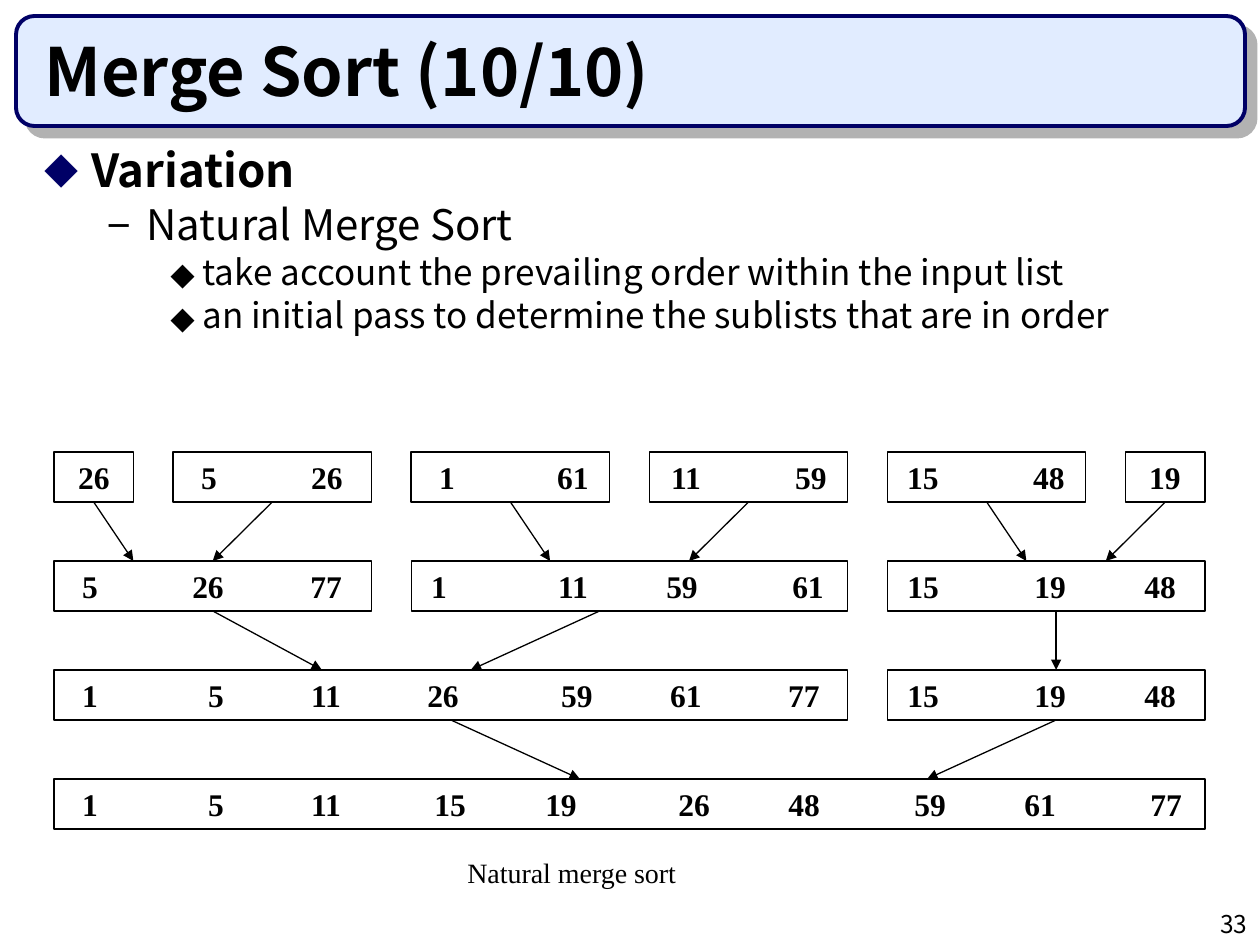
from lxml import etree
from pptx import Presentation
from pptx.dml.color import RGBColor
from pptx.enum.shapes import MSO_CONNECTOR, MSO_SHAPE
from pptx.enum.text import MSO_ANCHOR, PP_ALIGN
from pptx.oxml.ns import qn
from pptx.util import Emu, Pt

LEFT, RIGHT = PP_ALIGN.LEFT, PP_ALIGN.RIGHT
TOP, MIDDLE, BOTTOM = MSO_ANCHOR.TOP, MSO_ANCHOR.MIDDLE, MSO_ANCHOR.BOTTOM
RECTANGLE, ROUNDED = MSO_SHAPE.RECTANGLE, MSO_SHAPE.ROUNDED_RECTANGLE
STRAIGHT = MSO_CONNECTOR.STRAIGHT

BLACK = RGBColor(0x00, 0x00, 0x00)
NAVY = RGBColor(0x00, 0x00, 0x66)
PALE_BLUE = RGBColor(0xE1, 0xEC, 0xFF)
GRAY = RGBColor(0xB2, 0xB2, 0xB2)
SANS, SERIF = "Noto Sans CJK KR", "Times New Roman"

TITLE = "Merge Sort (10/10)"
CAPTION = "Natural merge sort"
PAGE_NUMBER = "33"

# text, level, size, bold, space before
OUTLINE = [
    ("Variation", 0, 26, True, 0),
    ("Natural Merge Sort", 1, 24, False, 6),
    ("take account the prevailing order within the input list", 2, 20, False, 5),
    ("an initial pass to determine the sublists that are in order", 2, 20, False, 5),
]
# bullet, colour, size in percent, text indent px, hanging px
LEVELS = [
    ("◆", NAVY, 75, 47, 47),
    ("−", BLACK, 100, 102, 39),
    ("⬥", BLACK, 100, 158, 32),
]

# Each list: first grid column, columns spanned, {number: centre x in px}
MERGE_ROWS = [
    [(0, 2, {26: 94}), (3, 5, {5: 209, 26: 327}), (9, 5, {1: 447, 61: 573}),
     (15, 5, {11: 686, 59: 811}), (21, 5, {15: 923, 48: 1049}), (27, 2, {19: 1165})],
    [(0, 8, {5: 90, 26: 208, 77: 326}), (9, 11, {1: 439, 11: 573, 59: 682, 61: 808}),
     (21, 8, {15: 923, 19: 1050, 48: 1160})],
    [(0, 20, {1: 90, 5: 216, 11: 326, 26: 443, 59: 577, 61: 686, 77: 804}),
     (21, 8, {15: 923, 19: 1050, 48: 1160})],
    [(0, 29, {1: 90, 5: 216, 11: 326, 15: 450, 19: 561, 26: 694, 48: 804,
              59: 930, 61: 1040, 77: 1166})],
]
# Arrows leaving each row: (start, end) in grid columns
MERGE_ARROWS = [
    [(1, 2), (5.5, 4), (11.5, 12.5), (17.5, 16), (23.5, 24.5), (28, 26.5)],
    [(4, 6.75), (13.75, 10.5), (25.25, 25.25)],
    [(10, 13.25), (25.25, 22)],
]
GRID_LEFT, GRID_WIDTH, GRID_COLUMNS = 54, 1151, 29
ROW_TOP, ROW_STEP, ROW_HEIGHT = 452, 109, 50


def px(value):
    return Emu(round(value * 914400 / 126))


def column_x(column):
    return GRID_LEFT + GRID_WIDTH * column / GRID_COLUMNS


def row_y(row):
    return ROW_TOP + ROW_STEP * row


def add_run(para, text, size, font, bold=False):
    run = para.add_run()
    run.text = text
    run.font.size = Pt(size)
    run.font.name = font
    run.font.bold = bold
    run.font.color.rgb = BLACK
    for tag in ("a:ea", "a:sym"):
        etree.SubElement(run.font._element, qn(tag), typeface=font)


def add_text_box(slide, left, top, width, height):
    frame = slide.shapes.add_textbox(px(left), px(top), px(width), px(height)).text_frame
    frame.word_wrap = True
    return frame


def set_bullet(para, level):
    char, color, percent, indent, hanging = LEVELS[level]
    props = para._p.get_or_add_pPr()
    props.set("marL", str(px(indent)))
    props.set("indent", str(-px(hanging)))
    holder = etree.SubElement(props, qn("a:buClr"))
    etree.SubElement(holder, qn("a:srgbClr"), val=str(color))
    etree.SubElement(props, qn("a:buSzPct"), val=str(percent * 1000))
    etree.SubElement(props, qn("a:buFont"), typeface=SANS)
    etree.SubElement(props, qn("a:buChar"), char=char)


def add_title(slide):
    panel = slide.shapes.add_shape(ROUNDED, px(16), px(16), px(1229), px(110))
    panel.fill.solid()
    panel.fill.fore_color.rgb = PALE_BLUE
    panel.line.color.rgb = NAVY
    panel.line.width = Pt(2.25)
    panel.shadow.inherit = False
    effects = panel._element.spPr.find(qn("a:effectLst"))
    shadow = etree.SubElement(effects, qn("a:outerShdw"), blurRad="0",
                              dist=str(Pt(8.5)), dir="2700000", algn="ctr", rotWithShape="0")
    etree.SubElement(shadow, qn("a:srgbClr"), val=str(GRAY))

    title = slide.shapes.title
    title._element.addprevious(panel._element)
    title.left, title.top, title.width, title.height = px(32), px(32), px(1187), px(84)
    frame = title.text_frame
    frame.vertical_anchor = BOTTOM
    frame.paragraphs[0].alignment = LEFT
    add_run(frame.paragraphs[0], TITLE, 38, SANS, True)


def add_outline(slide):
    frame = add_text_box(slide, 32, 145, 1187, 318)
    frame.vertical_anchor = TOP
    for number, (text, level, size, bold, space) in enumerate(OUTLINE):
        para = frame.add_paragraph() if number else frame.paragraphs[0]
        para.level = level
        set_bullet(para, level)
        para.line_spacing = 0.83
        para.space_before = Pt(space)
        add_run(para, text, size, SANS, bold)


def add_number_list(slide, row, column, span, numbers):
    """Add one sorted list, its numbers held by centred tab stops."""
    left = column_x(column)
    box = slide.shapes.add_shape(RECTANGLE, px(left), px(row_y(row)),
                                 px(column_x(column + span) - left), px(ROW_HEIGHT))
    box.shadow.inherit = False
    box.fill.background()
    box.line.color.rgb = BLACK
    box.line.width = Pt(0.75)
    frame = box.text_frame
    frame.margin_left = frame.margin_right = 0
    frame.vertical_anchor = MIDDLE
    para = frame.paragraphs[0]
    tabs = etree.SubElement(para._p.get_or_add_pPr(), qn("a:tabLst"))
    for center in numbers.values():
        etree.SubElement(tabs, qn("a:tab"), pos=str(px(center - left)), algn="ctr")
    para.alignment = LEFT
    for number in numbers:
        add_run(para, f"\t{number}", 18, SERIF, True)


def add_arrow(slide, row, start, end):
    arrow = slide.shapes.add_connector(STRAIGHT, px(column_x(start)), px(row_y(row) + ROW_HEIGHT),
                                       px(column_x(end)), px(row_y(row + 1)))
    arrow.line.color.rgb = BLACK
    arrow.line.width = Pt(0.75)
    etree.SubElement(arrow.line._get_or_add_ln(), qn("a:tailEnd"), type="triangle")
    etree.SubElement(arrow._element.spPr, qn("a:effectLst"))


def main():
    deck = Presentation()
    deck.slide_width, deck.slide_height = px(1260), px(945)
    slide = deck.slides.add_slide(deck.slide_layouts[5])
    add_title(slide)
    add_outline(slide)
    for row, lists in enumerate(MERGE_ROWS):
        for column, span, numbers in lists:
            add_number_list(slide, row, column, span, numbers)
    for row, arrows in enumerate(MERGE_ARROWS):
        for start, end in arrows:
            add_arrow(slide, row, start, end)

    caption = add_text_box(slide, 455, 849, 329, 47)
    add_run(caption.paragraphs[0], CAPTION, 16, SERIF)
    page = add_text_box(slide, 998, 903, 262, 42)
    page.paragraphs[0].alignment = RIGHT
    add_run(page.paragraphs[0], PAGE_NUMBER, 14, SANS)
    deck.save("out.pptx")


if __name__ == "__main__":
    main()
